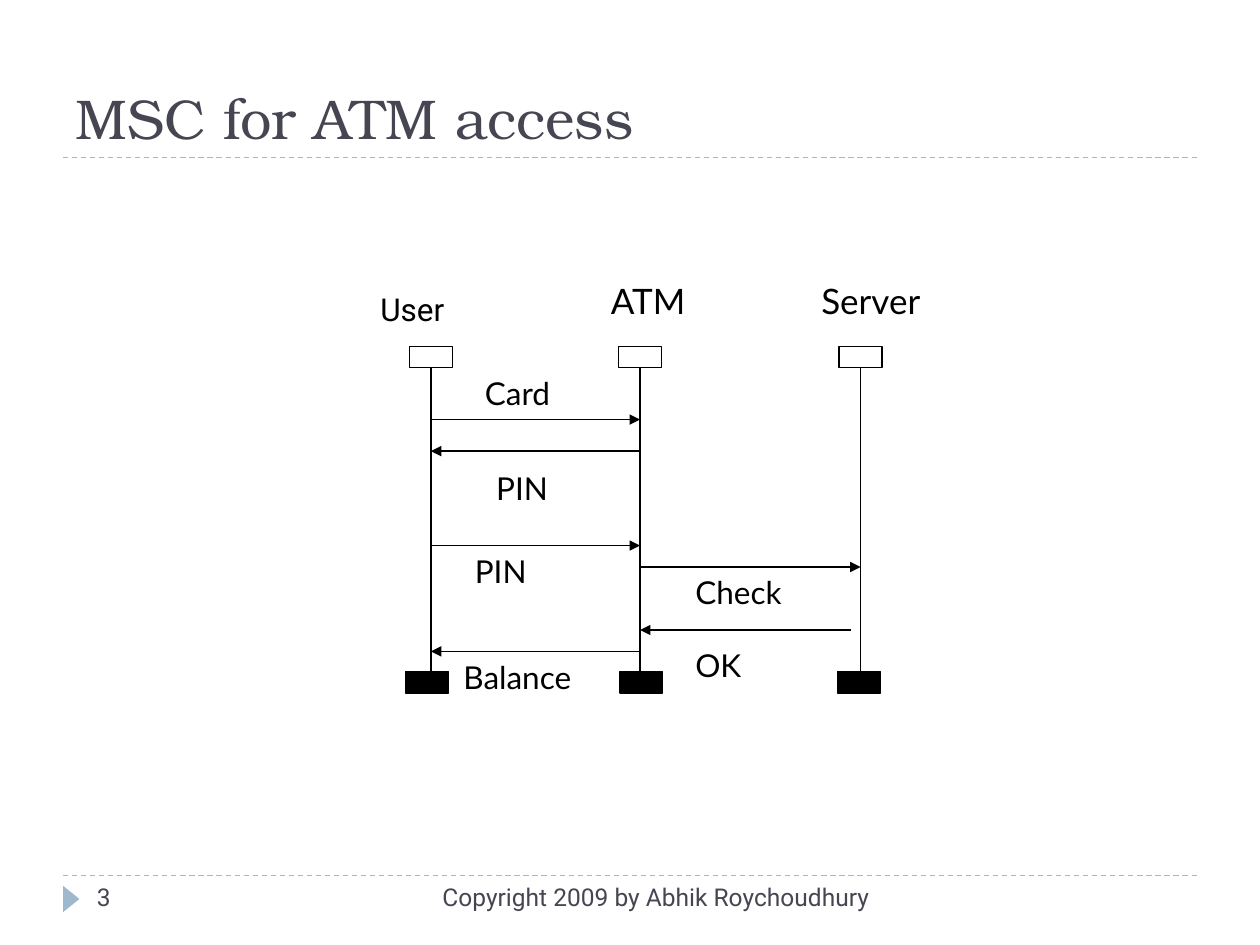
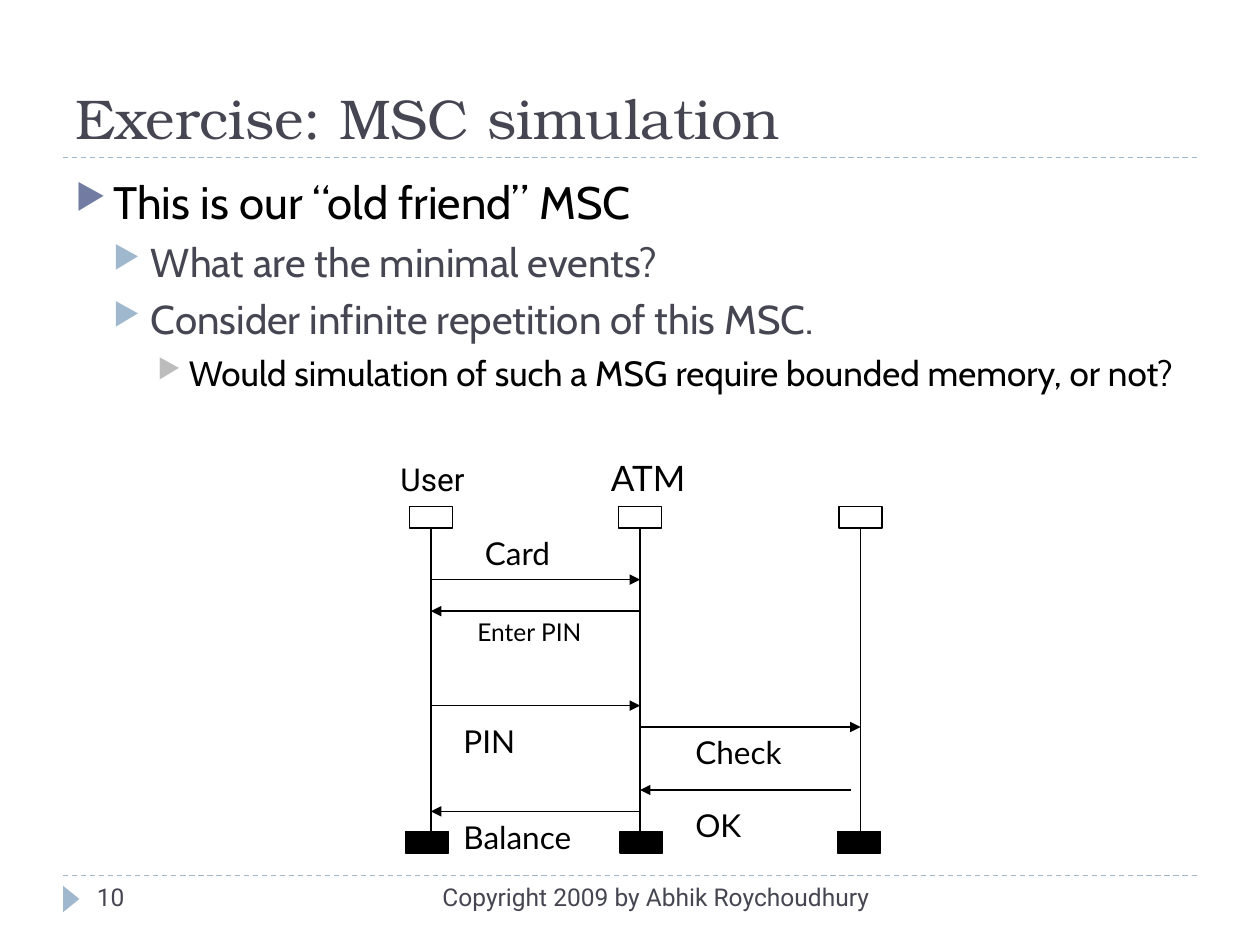
from dataclasses import dataclass

from lxml import etree
from pptx import Presentation
from pptx.dml.color import RGBColor
from pptx.enum.dml import MSO_LINE
from pptx.enum.shapes import MSO_CONNECTOR, MSO_SHAPE
from pptx.enum.text import MSO_ANCHOR, MSO_AUTO_SIZE, PP_ALIGN
from pptx.oxml.ns import qn
from pptx.util import Inches, Pt

STRAIGHT = MSO_CONNECTOR.STRAIGHT
RECT, TRIANGLE = MSO_SHAPE.RECTANGLE, MSO_SHAPE.ISOSCELES_TRIANGLE
DASH = MSO_LINE.DASH
LEFT, RIGHT = PP_ALIGN.LEFT, PP_ALIGN.RIGHT
BOTTOM, TOP = MSO_ANCHOR.BOTTOM, MSO_ANCHOR.TOP
NO_FIT = MSO_AUTO_SIZE.NONE
TITLE_ONLY = 5


@dataclass(frozen=True)
class Theme:
    ink: str = "000000"
    slate: str = "464653"
    sky: str = "9FB8CD"
    indigo: str = "727CA3"
    grey: str = "BCBCBC"
    title_font: str = "TeX Gyre Bonum"
    body_font: str = "Cabin"
    label_font: str = "Lato"
    plain_font: str = "Roboto"
    title_size: int = 32
    body_sizes: tuple = (26, 23, 20)
    actor_size: int = 20
    label_size: int = 18
    small_size: int = 14
    line_width: float = 0.75


class Deck:
    """Builds slides in one style, one element at a time."""

    def __init__(self, theme):
        self.theme = theme
        self.prs = Presentation()
        self.prs.slide_width, self.prs.slide_height = Inches(10), Inches(7.5)
        self.slide = None

    def add_slide(self, title, number):
        t = self.theme
        self.slide = self.prs.slides.add_slide(self.prs.slide_layouts[TITLE_ONLY])
        for y in (6.95, 1.25):
            self.line(0.5, y, 9.5, y, t.sky, dash=True)
        self.shape(TRIANGLE, 0.46, 7.07, 0.21, 0.13, fill=t.sky).rotation = 90
        sp = self.slide.shapes.title
        sp.left, sp.top, sp.width, sp.height = map(Inches, (0.5, 0.17, 9, 1.08))
        tf = self.frame(sp, BOTTOM)
        self.run(tf.paragraphs[0], title, t.title_font, t.title_size, t.slate)
        self.text("Copyright 2009 by Abhik Roychoudhury", 3.17, 6.95, 3.83,
                  t.plain_font, t.small_size, t.slate, RIGHT)
        self.text(number, 0.67, 6.95, 2.17, t.plain_font, t.small_size, t.slate)

    def frame(self, sp, anchor=TOP):
        tf = sp.text_frame
        tf.word_wrap, tf.auto_size, tf.vertical_anchor = True, NO_FIT, anchor
        tf.paragraphs[0].alignment = LEFT
        return tf

    def run(self, p, text, font, size, color):
        r = p.add_run()
        r.text = text
        r.font.name, r.font.size = font, Pt(size)
        r.font.color.rgb = RGBColor.from_string(color)

    def box(self, x, y, w, h):
        return self.frame(self.slide.shapes.add_textbox(*map(Inches, (x, y, w, h))))

    def text(self, text, x, y, w, font, size, color, align=LEFT):
        p = self.box(x, y, w, 0.4).paragraphs[0]
        p.alignment = align
        self.run(p, text, font, size, color)

    def label(self, text, x, y, w, size=None, font=None):
        t = self.theme
        self.text(text, x, y, w, font or t.label_font, size or t.label_size, t.ink)

    def bullets(self, items, x, y, w, h):
        t = self.theme
        levels = ((0.3, 0.3, t.indigo, t.ink), (0.6, 0.3, t.sky, t.slate),
                  (0.9, 0.25, t.grey, t.ink))
        tf = self.box(x, y, w, h)
        for i, (level, text) in enumerate(items):
            p = tf.add_paragraph() if i else tf.paragraphs[0]
            margin, hang, bullet, color = levels[level]
            pPr = p._p.get_or_add_pPr()
            pPr.set("marL", str(Inches(margin)))
            pPr.set("indent", str(-Inches(hang)))
            clr = etree.SubElement(pPr, qn("a:buClr"))
            etree.SubElement(clr, qn("a:srgbClr"), val=bullet)
            etree.SubElement(pPr, qn("a:buSzPct"), val="76000")
            etree.SubElement(pPr, qn("a:buChar"), char="▶")
            p.level = level
            if i:
                p.space_before = Pt(5)
            self.run(p, text, t.body_font, t.body_sizes[level], color)

    def line(self, x1, y1, x2, y2, color, dash=False, arrow=False):
        ends = map(Inches, (x1, y1, x2, y2))
        sp = self.slide.shapes.add_connector(STRAIGHT, *ends)
        sp.line.color.rgb = RGBColor.from_string(color)
        sp.line.width = Pt(self.theme.line_width)
        if dash:
            sp.line.dash_style = DASH
        if arrow:
            etree.SubElement(sp.line._get_or_add_ln(), qn("a:tailEnd"), type="triangle")
        etree.SubElement(sp._element.spPr, qn("a:effectLst"))

    def shape(self, kind, x, y, w, h, fill=None, outline=None):
        sp = self.slide.shapes.add_shape(kind, *map(Inches, (x, y, w, h)))
        sp.shadow.inherit = False
        if fill:
            sp.fill.solid()
            sp.fill.fore_color.rgb = RGBColor.from_string(fill)
        else:
            sp.fill.background()
        if outline:
            sp.line.color.rgb = RGBColor.from_string(outline)
            sp.line.width = Pt(self.theme.line_width)
        else:
            sp.line.fill.background()
        return sp

    def sequence_chart(self, top, labels):
        ink = self.theme.ink
        user, atm, server = 3.42, 5.08, 6.83
        for x, foot_x in ((user, 3.22), (atm, 4.92), (server, 6.65)):
            self.line(x, top + 0.17, x, top + 2.58, ink)
            self.shape(RECT, x - 0.17, top, 0.34, 0.17, outline=ink)
            self.shape(RECT, foot_x, top + 2.58, 0.34, 0.17, fill=ink, outline=ink)
        messages = ((user, atm, 0.58), (atm, user, 0.83), (user, atm, 1.58),
                    (atm, server, 1.75), (server - 0.08, atm, 2.25), (atm, user, 2.42))
        for start, end, dy in messages:
            self.line(start, top + dy, end, top + dy, ink, arrow=True)
        shared = (("Card", 3.75, 0.17, 1.08), ("Check", 5.42, 1.75, 1),
                  ("Balance", 3.58, 2.42, 1.67), ("OK", 5.42, 2.33, 1))
        for text, x, dy, *rest in shared + labels:
            self.label(text, x, top + dy, *rest)


def main():
    theme = Theme()
    deck = Deck(theme)

    deck.add_slide("MSC for ATM access", "3")
    deck.sequence_chart(2.75, (
        ("User", 2.92, -0.5, 1, theme.label_size, theme.plain_font),
        ("ATM", 4.75, -0.58, 0.83, theme.actor_size),
        ("Server", 6.42, -0.58, 1.33, theme.actor_size),
        ("PIN", 3.84, 0.92, 1.4),
        ("PIN", 3.67, 1.58, 1.67)))

    deck.add_slide("Exercise: MSC simulation", "10")
    deck.bullets((
        (0, "This is our “old friend” MSC"),
        (1, "What are the minimal events?"),
        (1, "Consider infinite repetition of this MSC."),
        (2, "Would simulation of such a MSG require bounded memory, or not?"),
    ), 0.5, 1.33, 9, 5.4)
    deck.sequence_chart(4.02, (
        ("User", 3.08, -0.42, 1, theme.label_size, theme.plain_font),
        ("ATM", 4.75, -0.45, 0.83, theme.actor_size),
        ("Enter PIN", 3.69, 0.83, 1.4, theme.small_size),
        ("PIN", 3.58, 1.66, 1.67)))

    deck.prs.save("out.pptx")


if __name__ == "__main__":
    main()
